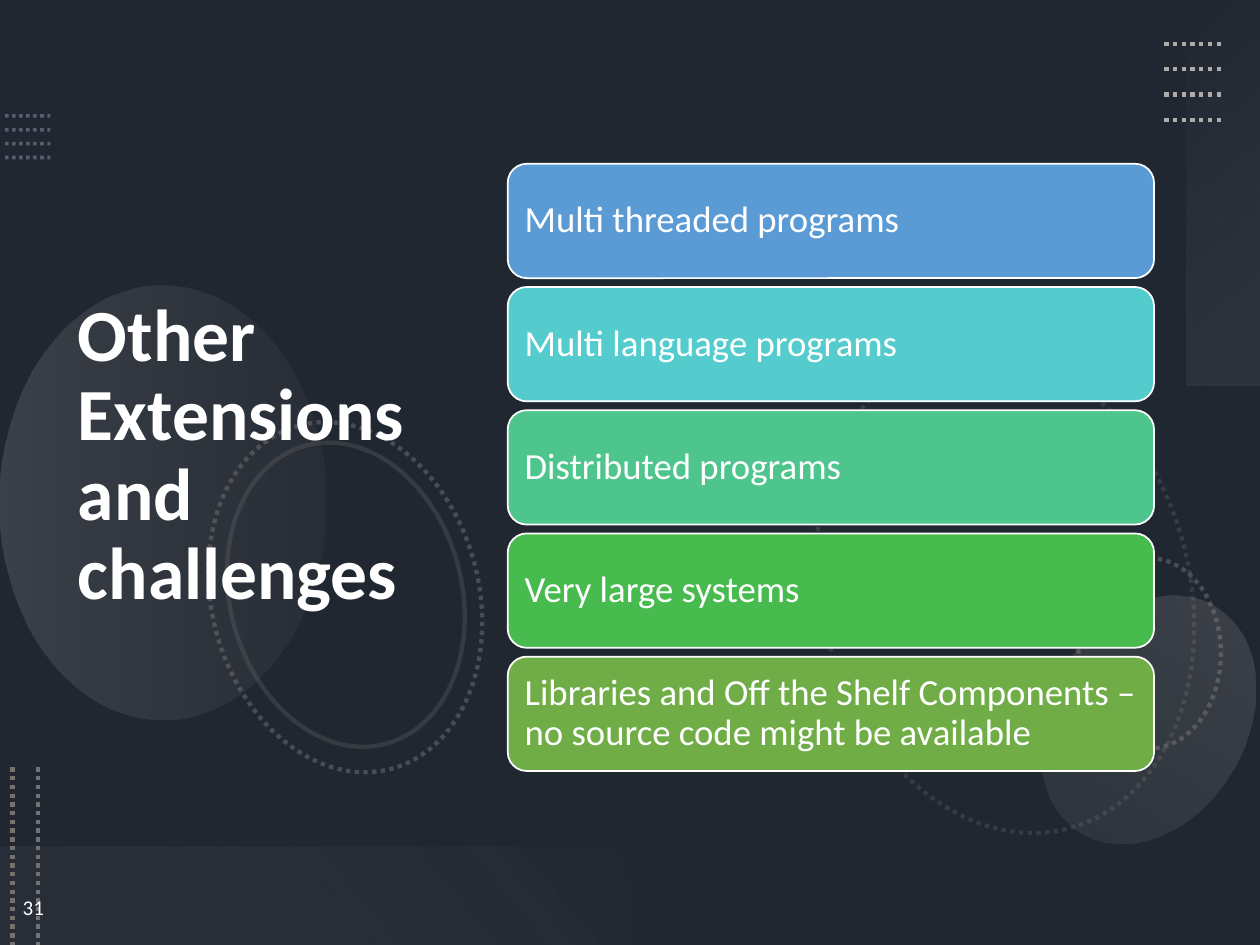
from lxml import etree
from pptx import Presentation
from pptx.dml import color as c
from pptx.enum import dml, shapes, text
from pptx.oxml import ns
from pptx.util import Inches, Pt

COLORS = {
    "slate": "44546A", "black": "000000", "white": "FFFFFF",
    "blue_gray": "8497B0", "gray": "767171", "silver": "AFABAB",
    "smoke": "F5F5F5", "mist": "F1F0F0",
}
CHALLENGES = [
    ("Multi threaded programs", "5B9BD5"),
    ("Multi language programs", "54CCCD"),
    ("Distributed programs", "4DC58D"),
    ("Very large systems", "48BB4F"),
    ("Libraries and Off the Shelf Components – no source code might be available", "70AD47"),
]


def rgb(value):
    return c.RGBColor.from_string(value)


def set_values(target, values):
    for name, value in values.items():
        setattr(target, name, value)


def set_alpha(fill_element, percent):
    for color in fill_element.iter(ns.qn("a:srgbClr")):
        etree.SubElement(color, ns.qn("a:alpha"), val=str(percent * 1000))


def add_plain_shape(slide, kind, box, rotation=0):
    shape = slide.shapes.add_shape(kind, *map(Inches, box))
    shape.rotation = rotation
    shape.shadow.inherit = False
    shape.fill.background()
    shape.line.fill.background()
    return shape


def fill_solid(shape, value, alpha=100):
    shape.fill.solid()
    shape.fill.fore_color.rgb = rgb(value)
    if alpha < 100:
        set_alpha(shape.fill._xPr.find(ns.qn("a:solidFill")), alpha)


def fill_gradient(shape, stops, angle):
    properties = shape._element.spPr
    properties.remove(properties.find(ns.qn("a:noFill")))
    gradient = etree.Element(ns.qn("a:gradFill"), rotWithShape="1")
    stop_list = etree.SubElement(gradient, ns.qn("a:gsLst"))
    for position, name, alpha in stops:
        stop = etree.SubElement(stop_list, ns.qn("a:gs"), pos=str(position * 1000))
        color = etree.SubElement(stop, ns.qn("a:srgbClr"), val=COLORS[name])
        etree.SubElement(color, ns.qn("a:alpha"), val=str(alpha * 1000))
    etree.SubElement(gradient, ns.qn("a:lin"), ang=str(angle * 60000), scaled="0")
    properties.find(ns.qn("a:prstGeom")).addnext(gradient)


def style_line(line, name, width, alpha=100, dotted=True):
    line.color.rgb = rgb(COLORS[name])
    line.width = Pt(width)
    if dotted:
        line.dash_style = dml.MSO_LINE.ROUND_DOT
    if alpha < 100:
        set_alpha(line._ln, alpha)


def add_dotted_lines(slide, box, count, name, width, vertical=False, alpha=100):
    left, top, across, down = box
    for index in range(count):
        share = index / (count - 1)
        if vertical:
            x = left + across * share
            ends = x, top, x, top + down
        else:
            y = top + down * share
            ends = left, y, left + across, y
        connector = slide.shapes.add_connector(
            shapes.MSO_CONNECTOR.STRAIGHT, *map(Inches, ends))
        style_line(connector.line, name, width, alpha)
        etree.SubElement(connector._element.spPr, ns.qn("a:effectLst"))


def add_backdrop(slide, box):
    for name, alpha in (("slate", 100), ("black", 53)):
        shape = add_plain_shape(slide, shapes.MSO_SHAPE.RECTANGLE, box)
        fill_solid(shape, COLORS[name], alpha)


def add_ring(slide, box, rotation, alpha, dotted=True):
    ring = add_plain_shape(slide, shapes.MSO_SHAPE.OVAL, box, rotation)
    style_line(ring.line, "gray", 2.5, alpha, dotted)


def add_gradient_shape(slide, kind, box, rotation, stops, angle):
    shape = add_plain_shape(slide, kind, box, rotation)
    fill_gradient(shape, stops, angle)


def add_ovals(slide):
    oval = shapes.MSO_SHAPE.OVAL
    add_ring(slide, (6.03, 3.23, 3.9, 2.92), 75, 25)
    add_ring(slide, (8.37, 4.62, 1.51, 1.13), 270, 50)
    add_gradient_shape(slide, oval, (-0.43, 2.7, 3.44, 2.58), 270,
                       [(0, "silver", 20), (100, "gray", 10)], 90)
    add_gradient_shape(slide, oval, (8.33, 4.67, 1.56, 2.08), 210,
                       [(0, "silver", 10), (100, "silver", 20)], 90)
    add_ring(slide, (1.33, 3.68, 2.82, 2.12), 75, 50)
    add_ring(slide, (1.52, 3.8, 2.45, 1.84), 75, 25, dotted=False)


def write_text(shape, content, size, bold=False, align=text.PP_ALIGN.LEFT,
               line_spacing=0.9, space_after=6, margin=0.1):
    frame = shape.text_frame
    set_values(frame, {
        "word_wrap": True, "vertical_anchor": text.MSO_ANCHOR.MIDDLE,
        "margin_left": Inches(margin), "margin_right": Inches(margin),
        "margin_top": Inches(min(margin, 0.09)), "margin_bottom": Inches(min(margin, 0.09)),
    })
    paragraph = frame.paragraphs[0]
    set_values(paragraph, {"alignment": align, "line_spacing": line_spacing,
                           "space_after": Pt(space_after)})
    run = paragraph.add_run()
    run.text = content
    set_values(run.font, {"name": "Calibri", "size": Pt(size), "bold": bold})
    run.font.color.rgb = rgb(COLORS["white"])


def add_label(slide, box, content, size, **options):
    write_text(slide.shapes.add_textbox(*map(Inches, box)), content, size, **options)


def add_challenges(slide, box, gap=0.07):
    left, top, width, height = box
    row_height = (height - gap * (len(CHALLENGES) - 1)) / len(CHALLENGES)
    for index, (content, value) in enumerate(CHALLENGES):
        row = left, top + index * (row_height + gap), width, row_height
        card = add_plain_shape(slide, shapes.MSO_SHAPE.ROUNDED_RECTANGLE, row)
        fill_solid(card, value)
        style_line(card.line, "white", 1, dotted=False)
        write_text(card, content, 21, space_after=0, margin=0.09)


def main():
    presentation = Presentation()
    set_values(presentation, {"slide_width": Inches(10), "slide_height": Inches(7.5)})
    slide = presentation.slides.add_slide(presentation.slide_layouts[6])
    slide.background.fill.solid()
    slide.background.fill.fore_color.rgb = rgb(COLORS["slate"])

    rectangle = shapes.MSO_SHAPE.RECTANGLE
    add_backdrop(slide, (0, 0, 10, 7.5))
    add_dotted_lines(slide, (0.04, 0.92, 0.36, 0.33), 4, "blue_gray", 2, alpha=50)
    add_ovals(slide)
    add_gradient_shape(slide, rectangle, (8.18, 1.24, 3.06, 0.58), 270,
                       [(0, "smoke", 0), (100, "silver", 10)], 140)
    add_dotted_lines(slide, (9.24, 0.35, 0.45, 0.6), 4, "silver", 2.5)
    add_gradient_shape(slide, rectangle, (0, 6.72, 5, 0.78), 180,
                       [(10, "gray", 10), (100, "mist", 0)], 140)
    add_dotted_lines(slide, (0.1, 6.09, 0.2, 1.41), 2, "gray", 2.5, vertical=True)
    add_label(slide, (0.52, 0.54, 3.44, 6.17), "Other Extensions and challenges", 42, bold=True)
    add_label(slide, (0, 6.9, 0.53, 0.6), "31", 12,
              align=text.PP_ALIGN.CENTER, line_spacing=1)
    add_challenges(slide, (4.03, 1.3, 5.13, 4.82))
    presentation.save("out.pptx")


if __name__ == "__main__":
    main()
